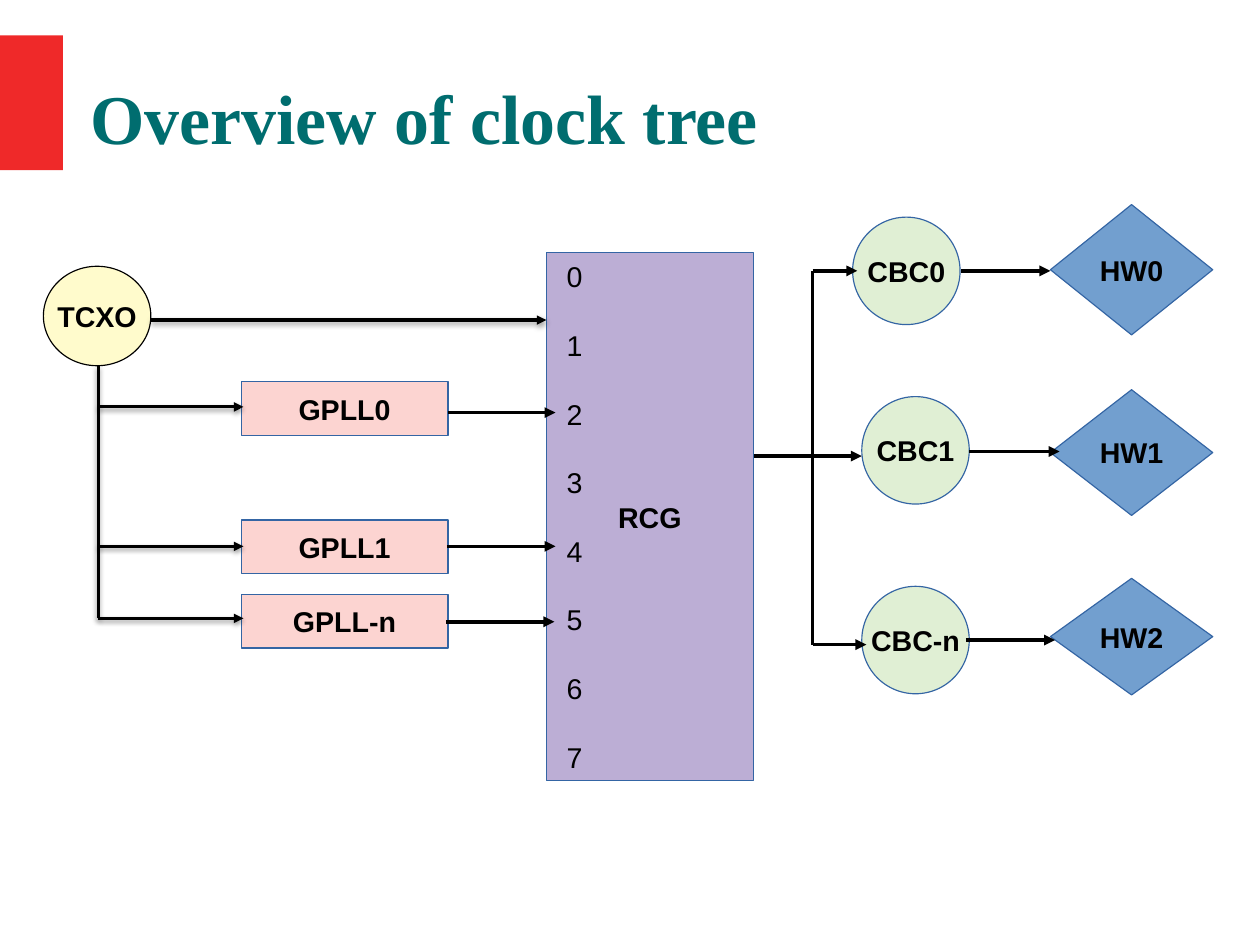
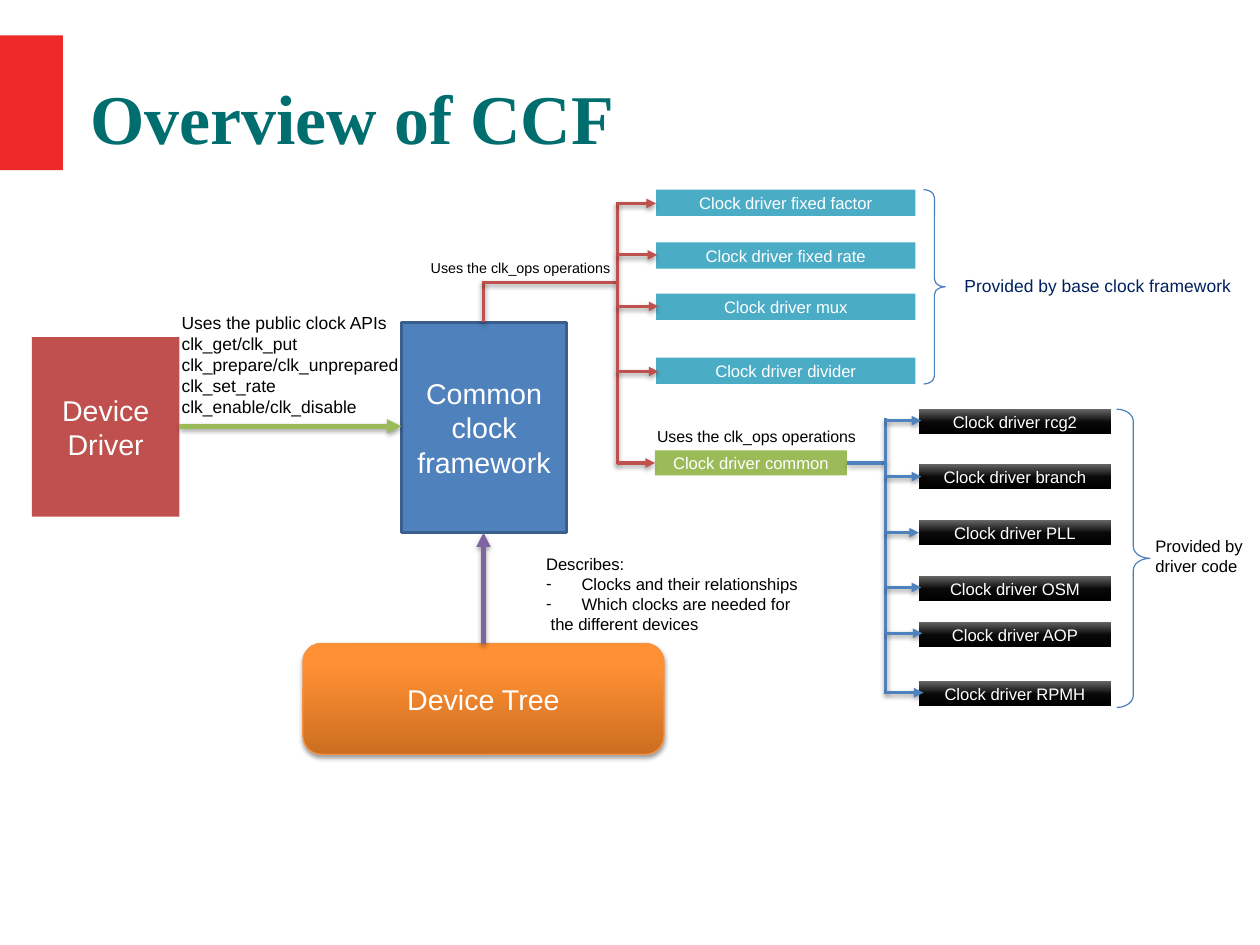
import copy
import dataclasses

import pptx
import pptx.dml.color
import pptx.enum.shapes
import pptx.enum.text
import pptx.oxml
import pptx.oxml.ns
import pptx.util
from lxml import etree

Inches, Pt = pptx.util.Inches, pptx.util.Pt
RGB = pptx.dml.color.RGBColor.from_string
KIND = pptx.enum.shapes.MSO_SHAPE
ANCHOR = pptx.enum.text.MSO_ANCHOR
ALIGN = pptx.enum.text.PP_ALIGN
qn = pptx.oxml.ns.qn
CM_PER_INCH = 2.54


@dataclasses.dataclass(frozen=True)
class Theme:
    body_font: str = "Arial"
    title_font: str = "Times New Roman"
    title_size: float = 44
    node_size: float = 18
    note_size: float = 11
    driver_size: float = 10.5
    ops_size: float = 10
    small_ops_size: float = 9
    title: str = "006D6F"
    band: str = "EF2929"
    black: str = "000000"
    white: str = "FFFFFF"
    navy: str = "002060"
    outline: str = "3465A4"
    oscillator: str = "FFFBCC"
    pll: str = "FCD4D1"
    generator: str = "BCAED5"
    branch: str = "E0EFD4"
    hardware: str = "729FCF"
    red: str = "C0504D"
    green: str = "9BBB59"
    blue: str = "4F81BD"
    blue_edge: str = "3A5F8C"
    teal: str = "4BACC6"
    purple: str = "8064A2"
    brace: str = "4B7EBC"
    orange_edge: str = "F69240"
    orange: tuple = ((0, "CC6E20"), (0.8, "FF9034"), (1, "FF9136"))
    charcoal: tuple = ((0, "000000"), (0.48, "080808"), (1, "666666"))
    thin: float = 0.75
    tree_line: float = 2
    clock_line: float = 2.3
    flow_line: float = 3
    shadow: str = (
        '<a:outerShdw xmlns:a="http://schemas.openxmlformats.org/drawingml/2006/main" '
        'blurRad="40000" dist="20000" dir="5400000" rotWithShape="0">'
        '<a:srgbClr val="000000"><a:alpha val="38000"/></a:srgbClr></a:outerShdw>')


theme = Theme()


def add_label(slide, text, box, kind=None, fill=None, edge=None, edge_width=theme.thin,
              size=theme.node_size, color=theme.black, font=theme.body_font, bold=False,
              wrap=True, anchor=None, inset=None, gap=0, shadow=False):
    """Add a preset shape, or a text box if kind is None; lines starting "- " become bullets."""
    place = [Inches(length) for length in box]
    if kind is None:
        label = slide.shapes.add_textbox(*place)
    else:
        label = slide.shapes.add_shape(kind, *place)
        label.shadow.inherit = False
        if isinstance(fill, tuple):
            label.fill.gradient()
            label.fill.gradient_angle = 90
            stops = label.element.spPr.find(qn("a:gradFill")).find(qn("a:gsLst"))
            stops.insert(1, copy.deepcopy(stops[0]))
            for stop, (position, stop_color) in zip(label.fill.gradient_stops, fill):
                stop.position = position
                stop.color.rgb = RGB(stop_color)
        elif fill:
            label.fill.solid()
            label.fill.fore_color.rgb = RGB(fill)
        else:
            label.fill.background()
        if edge:
            label.line.color.rgb = RGB(edge)
            label.line.width = Pt(edge_width)
        else:
            label.line.fill.background()
        if shadow:
            label.element.spPr.find(qn("a:effectLst")).append(pptx.oxml.parse_xml(theme.shadow))
    if not text:
        return label
    frame = label.text_frame
    frame.word_wrap = wrap
    frame.vertical_anchor = anchor or (ANCHOR.MIDDLE if kind else ANCHOR.TOP)
    if inset is not None:
        frame.margin_left = frame.margin_right = Inches(inset)
        frame.margin_top = frame.margin_bottom = Inches(inset)
    for index, line in enumerate(text.split("\n")):
        paragraph = frame.add_paragraph() if index else frame.paragraphs[0]
        paragraph.alignment = ALIGN.CENTER if kind else ALIGN.LEFT
        if index:
            paragraph.space_before = Pt(gap)
        if line.startswith("- "):
            line = line[2:]
            properties = paragraph._p.get_or_add_pPr()
            properties.set("marL", str(Inches(0.31)))
            properties.set("indent", str(-Inches(0.31)))
            etree.SubElement(properties, qn("a:buFont")).set("typeface", font)
            etree.SubElement(properties, qn("a:buChar")).set("char", "-")
        run = paragraph.add_run()
        run.text = line
        run.font.name = font
        run.font.size = Pt(size)
        run.font.bold = bold
        run.font.color.rgb = RGB(color)
    return label


def add_line(slide, start, end, color=theme.black, width=theme.tree_line, arrow=True, shadow=True):
    line = slide.shapes.add_connector(
        pptx.enum.shapes.MSO_CONNECTOR.STRAIGHT, *[Inches(length) for length in (*start, *end)])
    line.line.color.rgb = RGB(color)
    line.line.width = Pt(width)
    properties = line.element.spPr
    if arrow:
        etree.SubElement(properties.find(qn("a:ln")), qn("a:tailEnd")).set("type", "triangle")
    effects = etree.SubElement(properties, qn("a:effectLst"))
    if shadow:
        effects.append(pptx.oxml.parse_xml(theme.shadow))


deck = pptx.Presentation()
deck.slide_width, deck.slide_height = Inches(28 / CM_PER_INCH), Inches(21 / CM_PER_INCH)

slides = []
for heading in ("Overview of clock tree", "Overview of CCF"):
    slide = deck.slides.add_slide(deck.slide_layouts[6])
    add_label(slide, "", (0, 0.31, 0.55, 1.18), KIND.RECTANGLE, theme.band)
    add_label(slide, heading, (0.79, 0.33, 9.68, 1.38), size=theme.title_size, color=theme.title,
              font=theme.title_font, bold=True, anchor=ANCHOR.MIDDLE, inset=0)
    slides.append(slide)
clock_tree, framework = slides

# Clock tree: sources, generator, branches and hardware
clock_nodes = [
    ("TCXO", (0.38, 2.33, 0.94, 0.87), KIND.OVAL, theme.oscillator, theme.black),
    ("RCG", (4.78, 2.21, 1.81, 4.62), KIND.RECTANGLE, theme.generator, theme.outline),
]
for name, top in (("GPLL0", 3.34), ("GPLL1", 4.55), ("GPLL-n", 5.2)):
    clock_nodes.append((name, (2.11, top, 1.81, 0.47), KIND.RECTANGLE, theme.pll, theme.outline))
for name, left, top in (("CBC0", 7.46, 1.9), ("CBC1", 7.54, 3.47), ("CBC-n", 7.54, 5.13)):
    clock_nodes.append((name, (left, top, 0.94, 0.94), KIND.OVAL, theme.branch, theme.outline))
for name, top, height in (("HW0", 1.79, 1.14), ("HW1", 3.41, 1.1), ("HW2", 5.06, 1.02)):
    clock_nodes.append((name, (9.19, top, 1.42, height), KIND.DIAMOND, theme.hardware, theme.outline))
for name, box, kind, fill, edge in clock_nodes:
    add_label(clock_tree, name, box, kind, fill, edge, bold=True, wrap=False)
add_label(clock_tree, "\n".join(str(port) for port in range(8)), (4.86, 2.22, 0.63, 3.75), gap=21.6)

source_x, fan_x = 0.86, 7.11
add_line(clock_tree, (1.32, 2.8), (4.78, 2.8))
add_line(clock_tree, (source_x, 3.2), (source_x, 5.41), arrow=False)
for y in (3.56, 4.78, 5.41):
    add_line(clock_tree, (source_x, y), (2.13, y))
for left, right, y in (
        (3.92, 4.86, 3.61), (3.91, 4.86, 4.78), (3.9, 4.85, 5.44),
        (fan_x, 7.5, 2.37), (fan_x, 7.54, 3.99), (fan_x, 7.58, 5.64),
        (8.41, 9.19, 2.37), (8.48, 9.27, 3.95), (8.45, 9.23, 5.6)):
    add_line(clock_tree, (left, y), (right, y), width=theme.clock_line, shadow=False)
for start, end in (((fan_x, 2.37), (fan_x, 5.64)), ((6.6, 3.99), (fan_x, 3.99))):
    add_line(clock_tree, start, end, width=theme.clock_line, arrow=False, shadow=False)

# Common clock framework: main blocks
add_label(framework, "Device Driver", (0.28, 2.95, 1.29, 1.57), KIND.RECTANGLE, theme.red,
          color=theme.white)
add_label(framework, "Device Tree", (2.65, 5.63, 3.16, 0.97), KIND.ROUNDED_RECTANGLE, theme.orange,
          theme.orange_edge, color=theme.white, shadow=True)
add_label(framework, "Common clock framework", (3.51, 2.82, 1.45, 1.84), KIND.RECTANGLE, theme.blue,
          theme.blue_edge, theme.tree_line, color=theme.white)

# Clock drivers
drivers = [("common", (5.73, 3.94, 1.68, 0.22), theme.green)]
for name, top in (("fixed factor", 1.66), ("fixed rate", 2.12), ("mux", 2.57), ("divider", 3.13)):
    drivers.append((name, (5.74, top, 2.27, 0.23), theme.teal))
for name, top in (("rcg2", 3.58), ("branch", 4.06), ("PLL", 4.55),
                  ("OSM", 5.04), ("AOP", 5.44), ("RPMH", 5.96)):
    drivers.append((name, (8.04, top, 1.68, 0.22), theme.charcoal))
for name, box, fill in drivers:
    add_label(framework, f"Clock driver {name}", box, KIND.RECTANGLE, fill,
              size=theme.driver_size, color=theme.white)

# Notes and braces
for text, box, size, color in (
        ("Uses the public clock APIs\nclk_get/clk_put\nclk_prepare/clk_unprepared\n"
         "clk_set_rate\nclk_enable/clk_disable", (1.49, 2.68, 2.18, 1.21), theme.note_size, theme.black),
        ("Describes:\n- Clocks and their relationships\n- Which clocks are needed for\n"
         " the different devices", (4.68, 4.8, 2.47, 0.81), theme.driver_size, theme.black),
        ("Uses the clk_ops operations", (3.67, 2.22, 1.77, 0.25), theme.small_ops_size, theme.black),
        ("Uses the clk_ops operations", (5.65, 3.68, 2.62, 0.27), theme.ops_size, theme.black),
        ("Provided by base clock framework", (8.34, 2.36, 2.57, 0.29), theme.note_size, theme.navy),
        ("Provided by\ndriver code", (10.01, 4.64, 1.02, 0.45), theme.driver_size, theme.black)):
    add_label(framework, text, box, size=size, color=color, wrap=False)
for box in ((8.08, 1.66, 0.19, 1.7), (9.77, 3.58, 0.29, 2.61)):
    brace = add_label(framework, "", box, KIND.RIGHT_BRACE, edge=theme.brace)
    brace.adjustments[0] = 0.36

# Flow arrows and the two driver trees
add_line(framework, (1.57, 3.73), (3.51, 3.73), theme.green, theme.flow_line)
add_line(framework, (4.23, 5.63), (4.23, 4.66), theme.purple, theme.flow_line)
ops_x, common_x = 5.4, 7.75
for start, end, color in (
        ((4.23, 2.82), (4.23, 2.46), theme.red),
        ((4.22, 2.47), (ops_x, 2.47), theme.red),
        ((ops_x, 1.77), (ops_x, 4.06), theme.red),
        ((7.41, 4.05), (common_x, 4.05), theme.blue),
        ((common_x, 3.66), (common_x, 6.07), theme.blue)):
    add_line(framework, start, end, color, arrow=False)
for trunk_x, color, tips in (
        (ops_x, theme.red, ((5.74, 1.78), (5.75, 2.23), (5.76, 2.68), (5.76, 3.25), (5.73, 4.05))),
        (common_x, theme.blue, ((8.06, 3.68), (8.06, 4.17), (8.04, 4.66),
                                (8.06, 5.14), (8.07, 5.54), (8.08, 6.06)))):
    for tip_x, y in tips:
        add_line(framework, (trunk_x, y), (tip_x, y), color)

deck.save("out.pptx")
